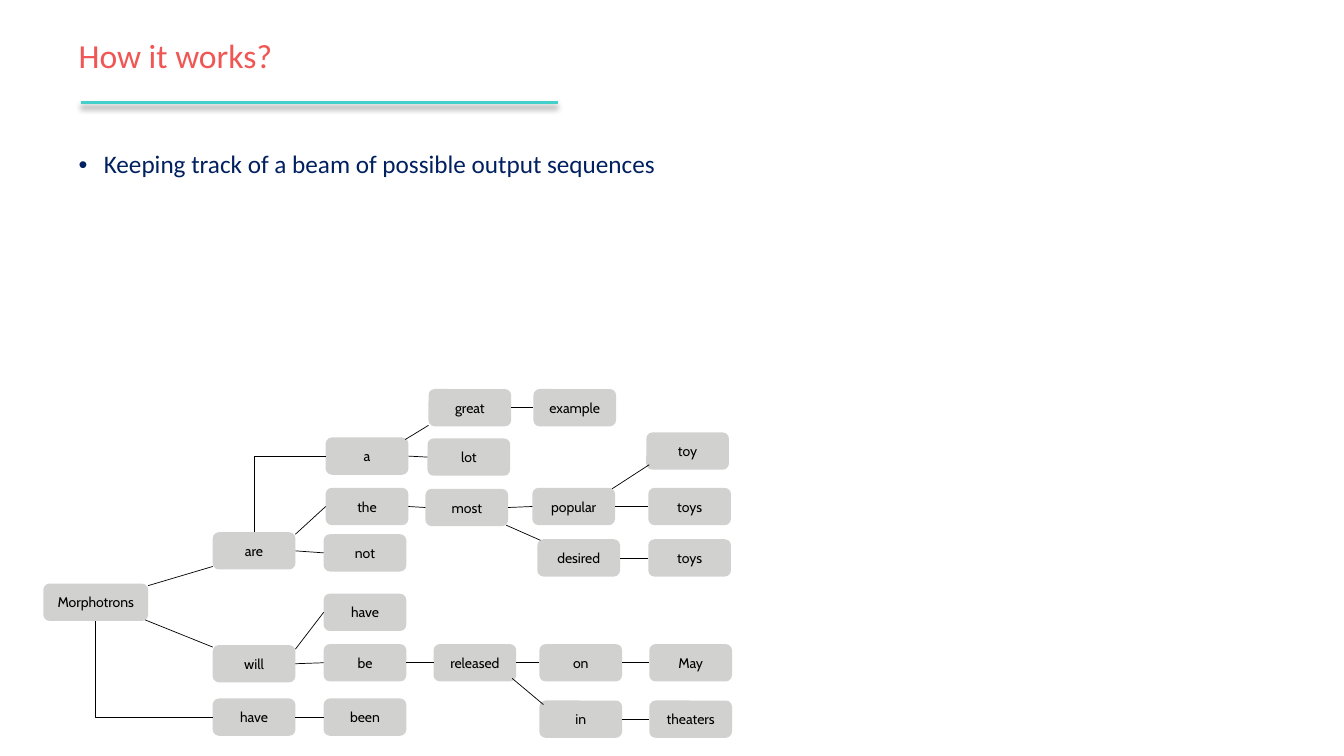
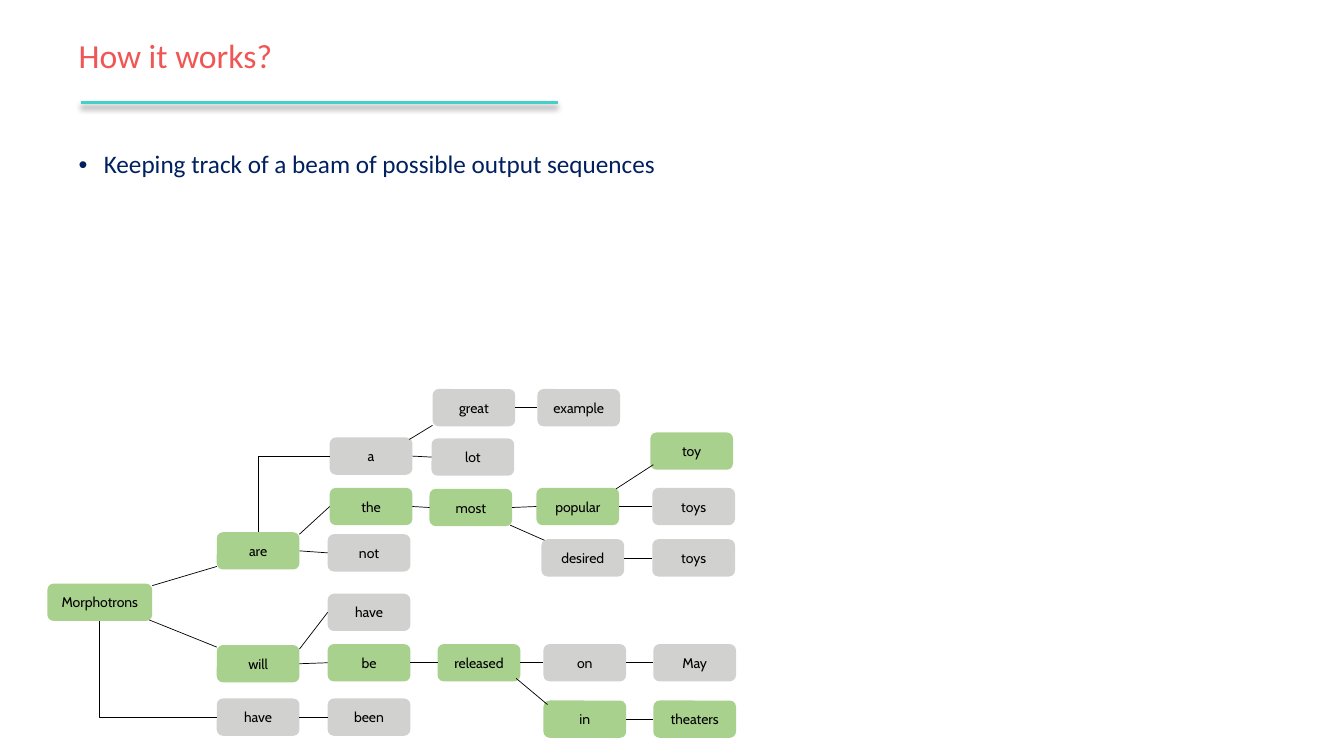
"""Build two slides that show beam search as a tree of output words."""
from lxml import etree
from pptx import Presentation
from pptx.dml.color import RGBColor
from pptx.enum.shapes import MSO_CONNECTOR, MSO_SHAPE
from pptx.enum.text import MSO_ANCHOR, PP_ALIGN
from pptx.oxml.ns import qn
from pptx.util import Inches, Pt

STRAIGHT, ELBOW = MSO_CONNECTOR.STRAIGHT, MSO_CONNECTOR.ELBOW
ROUNDED = MSO_SHAPE.ROUNDED_RECTANGLE
MIDDLE = MSO_ANCHOR.MIDDLE
LEFT, CENTER = PP_ALIGN.LEFT, PP_ALIGN.CENTER
TOP_SIDE, LEFT_SIDE, BOTTOM_SIDE, RIGHT_SIDE = range(4)

COLORS = {"title": "F05654", "rule": "43D0CA", "body": "002060", "ink": "000000",
          "node": "D1D1CF", "beam": "A9D18E"}
TITLE = "How it works?"
BULLET = "Keeping track of a beam of possible output sequences"
TITLE_BOX = (0.68, -0.15, 11.5, 1.45)
BODY_BOX = (0.68, 1.46, 11.19, 5.86)
NODE_WIDTH, ROOT_WIDTH, NODE_HEIGHT = 0.82, 1.04, 0.37

NODES = {
    "root": ("Morphotrons", 0.43, 5.79),
    "are": ("are", 2.11, 5.28),
    "will": ("will", 2.11, 6.4),
    "be": ("be", 3.21, 6.39),
    "released": ("released", 4.3, 6.39),
    "on": ("on", 5.35, 6.39),
    "May": ("May", 6.44, 6.39),
    "in": ("in", 5.35, 6.95),
    "theaters": ("theaters", 6.44, 6.95),
    "have": ("have", 2.11, 6.93),
    "been": ("been", 3.21, 6.93),
    "will have": ("have", 3.21, 5.89),
    "not": ("not", 3.21, 5.3),
    "the": ("the", 3.23, 4.84),
    "most": ("most", 4.22, 4.85),
    "popular": ("popular", 5.28, 4.84),
    "popular toys": ("toys", 6.43, 4.84),
    "a": ("a", 3.23, 4.34),
    "toy": ("toy", 6.41, 4.29),
    "lot": ("lot", 4.24, 4.35),
    "great": ("great", 4.25, 3.86),
    "example": ("example", 5.29, 3.86),
    "desired": ("desired", 5.33, 5.35),
    "desired toys": ("toys", 6.43, 5.35),
}
SIDE_LINKS = [
    ("have", "been"), ("will", "be"), ("are", "not"), ("be", "released"),
    ("released", "on"), ("on", "May"), ("in", "theaters"), ("a", "lot"),
    ("the", "most"), ("most", "popular"), ("great", "example"),
    ("popular", "popular toys"), ("desired", "desired toys"),
]
ELBOW_LINKS = [("have", "root", BOTTOM_SIDE), ("a", "are", TOP_SIDE)]
DIAGONALS = [
    ((1.47, 5.81), (2.11, 5.62), None),
    ((1.44, 6.15), (2.11, 6.42), None),
    ((2.93, 6.44), (3.21, 6.08), "will have"),
    ((2.93, 5.3), (3.23, 5.02), "the"),
    ((5.08, 6.73), (5.39, 6.99), None),
    ((4.02, 4.36), (4.25, 4.22), None),
    ((6.07, 4.85), (6.44, 4.61), None),
    ((5.02, 5.21), (5.36, 5.36), None),
]
BEAM = {"root", "are", "will", "be", "released", "in", "theaters", "the", "most",
        "popular", "toy"}
SLIDES = [{"shift": 0, "beam": set()}, {"shift": 0.04, "beam": BEAM}]


def color(name):
    return RGBColor.from_string(COLORS[name])


def place(shape, box):
    shape.left, shape.top, shape.width, shape.height = map(Inches, box)


def write(paragraph, text, font, size, color_name, align):
    paragraph.alignment = align
    run = paragraph.add_run()
    run.text = text
    run.font.name, run.font.size = font, Pt(size)
    run.font.color.rgb = color(color_name)


def add_line(slide, start, end, color_name="ink", width=0.5, kind=STRAIGHT):
    line = slide.shapes.add_connector(kind, *map(Inches, (*start, *end)))
    line.line.color.rgb = color(color_name)
    line.line.width = Pt(width)
    etree.SubElement(line.element.spPr, qn("a:effectLst"))
    return line


def set_up_layout(layout, slide):
    """Give the layout its placeholder places and the shadowed title rule."""
    place(layout.placeholders[0], TITLE_BOX)
    place(layout.placeholders[1], BODY_BOX)
    rule = add_line(slide, (0.8, 1.02), (5.53, 1.02), "rule", 2.25)
    effects = rule.element.spPr.find(qn("a:effectLst"))
    shadow = etree.SubElement(effects, qn("a:outerShdw"), blurRad=str(Pt(4)),
                              dist=str(Pt(3)), dir="5400000", algn="t", rotWithShape="0")
    tint = etree.SubElement(shadow, qn("a:srgbClr"), val=COLORS["ink"])
    etree.SubElement(tint, qn("a:alpha"), val="40000")
    layout.shapes.element.append(rule.element)


def fill_placeholders(slide):
    title = slide.shapes.title.text_frame
    title.vertical_anchor = MIDDLE
    heading = title.paragraphs[0]
    heading.line_spacing = 0.9
    write(heading, TITLE, "Calibri", 24, "title", LEFT)
    bullet = slide.placeholders[1].text_frame.paragraphs[0]
    bullet.line_spacing, bullet.space_before = 0.9, Pt(10)
    write(bullet, BULLET, "Calibri", 18, "body", LEFT)
    properties = bullet._p.get_or_add_pPr()
    properties.set("marL", str(Inches(0.25)))
    properties.set("indent", str(Inches(-0.25)))


def add_node(slide, key, shift, fill):
    text, left, top = NODES[key]
    width = ROOT_WIDTH if key == "root" else NODE_WIDTH
    node = slide.shapes.add_shape(
        ROUNDED, *map(Inches, (left + shift, top, width, NODE_HEIGHT)))
    node.shadow.inherit = False
    node.fill.solid()
    node.fill.fore_color.rgb = color(fill)
    node.line.fill.background()
    node.text_frame.vertical_anchor = MIDDLE
    write(node.text_frame.paragraphs[0], text, "Cabin", 10, "ink", CENTER)
    return node


def join(slide, first, first_side, second, second_side, kind=STRAIGHT):
    line = add_line(slide, (0, 0), (1, 1), kind=kind)
    line.begin_connect(first, first_side)
    line.end_connect(second, second_side)
    return line


def add_tree(slide, shift, beam):
    nodes = {key: add_node(slide, key, shift, "beam" if key in beam else "node")
             for key in NODES}
    for parent, child in SIDE_LINKS:
        join(slide, nodes[parent], RIGHT_SIDE, nodes[child], LEFT_SIDE)
    for child, parent, side in ELBOW_LINKS:
        line = join(slide, nodes[child], LEFT_SIDE, nodes[parent], side, ELBOW)
        line.element.spPr.find(qn("a:prstGeom")).set("prst", "bentConnector2")
    for start, end, child in DIAGONALS:
        line = add_line(slide, (start[0] + shift, start[1]), (end[0] + shift, end[1]))
        if child:
            line.end_connect(nodes[child], LEFT_SIDE)


def main():
    presentation = Presentation()
    presentation.slide_width, presentation.slide_height = Inches(13.33), Inches(7.5)
    layout = presentation.slide_layouts[1]
    for number, tree in enumerate(SLIDES):
        slide = presentation.slides.add_slide(layout)
        if number == 0:
            set_up_layout(layout, slide)
        fill_placeholders(slide)
        add_tree(slide, **tree)
    presentation.save("out.pptx")


if __name__ == "__main__":
    main()
